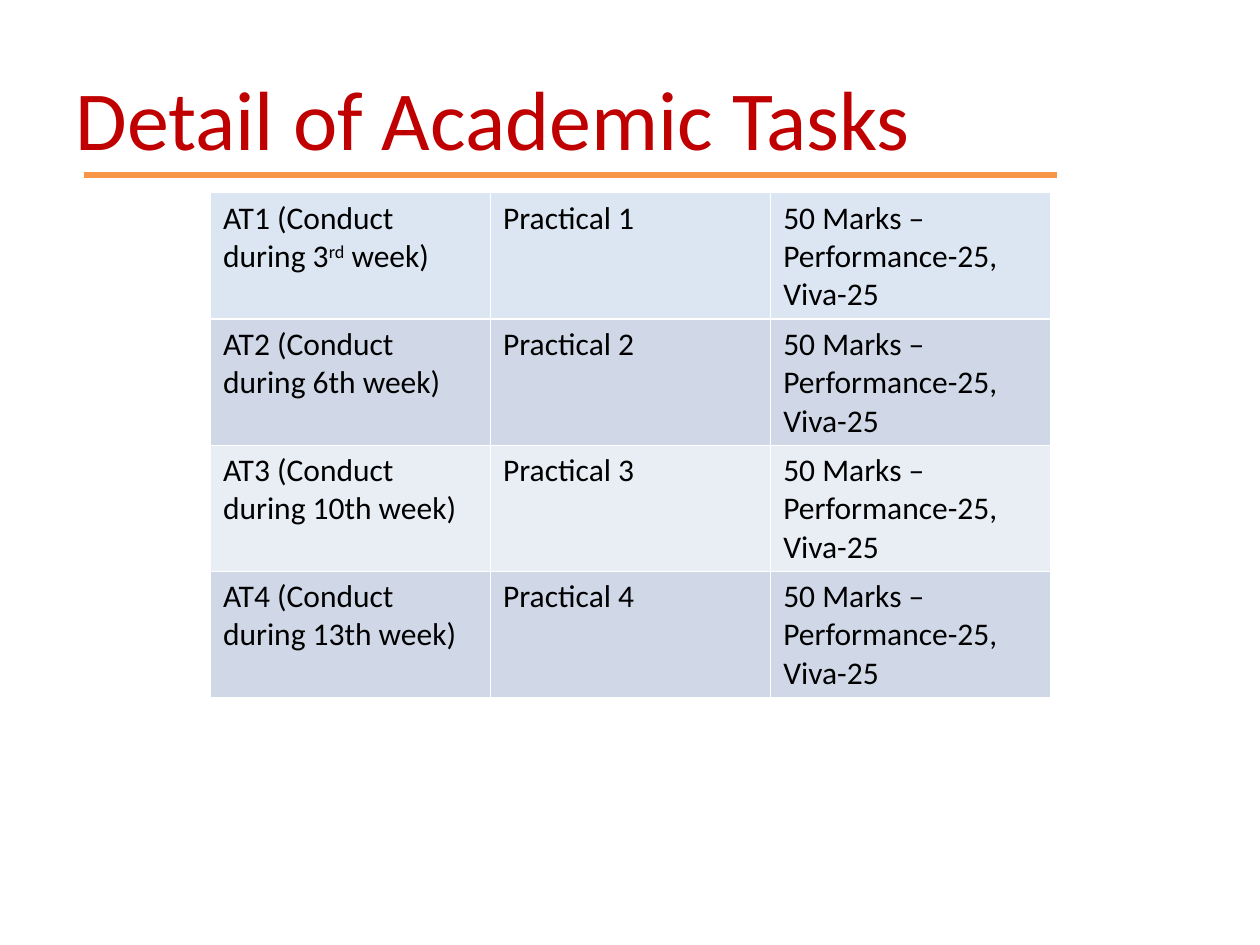
from lxml import etree
from pptx import Presentation
from pptx import util as u
from pptx.dml.color import RGBColor
from pptx.enum import shapes, text
from pptx.oxml.ns import qn

COLORS = {
    "title": "C00000",
    "rule": "F79646",
    "text": "000000",
    "border": "FFFFFF",
    "first": "DCE6F2",
    "dark": "D0D8E8",
    "light": "E9EDF4",
}
MARKS = "50 Marks –Performance-25, Viva-25"
TASKS = [
    (("AT1 (Conduct during 3", "rd", " week)"), "first"),
    (("AT2 (Conduct during 6th week)",), "dark"),
    (("AT3 (Conduct during 10th week)",), "light"),
    (("AT4 (Conduct during 13th week)",), "dark"),
]


class SlideBuilder:
    font_name = "Calibri"
    thin, thick = 0.45, 1.47

    def __init__(self, slide):
        self.slide = slide

    def color(self, name):
        return RGBColor.from_string(COLORS[name])

    def style(self, paragraph, size, color):
        paragraph.font.name = self.font_name
        paragraph.font.size = u.Pt(size)
        paragraph.font.color.rgb = self.color(color)

    def title(self, words, left, top, width, height):
        shape = self.slide.shapes.add_textbox(
            u.Inches(left), u.Inches(top), u.Inches(width), u.Inches(height))
        frame = shape.text_frame
        frame.word_wrap = True
        frame.vertical_anchor = text.MSO_ANCHOR.MIDDLE
        paragraph = frame.paragraphs[0]
        paragraph.text = words
        self.style(paragraph, 48, "title")

    def rule(self, left, right, y):
        connector = self.slide.shapes.add_connector(
            shapes.MSO_CONNECTOR.STRAIGHT,
            u.Inches(left), u.Inches(y), u.Inches(right), u.Inches(y))
        connector.line.color.rgb = self.color("rule")
        connector.line.width = u.Pt(3)
        etree.SubElement(connector._element.spPr, qn("a:effectLst"))

    def borders(self, cell, top, bottom):
        properties = cell._tc.get_or_add_tcPr()
        widths = {"lnL": self.thin, "lnR": self.thin, "lnT": top, "lnB": bottom}
        for side, width in widths.items():
            line = etree.SubElement(properties, qn(f"a:{side}"), w=str(u.Pt(width)))
            fill = etree.SubElement(line, qn("a:solidFill"))
            etree.SubElement(fill, qn("a:srgbClr"), val=COLORS["border"])

    def cell(self, cell, pieces, fill, top, bottom):
        self.borders(cell, top, bottom)
        cell.fill.solid()
        cell.fill.fore_color.rgb = self.color(fill)
        paragraph = cell.text_frame.paragraphs[0]
        for index, piece in enumerate(pieces):
            run = paragraph.add_run()
            run.text = piece
            if index == 1:
                run._r.get_or_add_rPr().set("baseline", "30000")
        self.style(paragraph, 18, "text")

    def task_table(self, tasks, left, top, width, height):
        table = self.slide.shapes.add_table(
            len(tasks), 3, u.Inches(left), u.Inches(top),
            u.Inches(width), u.Inches(height)).table
        table.first_row = False
        table.horz_banding = False
        for row, (task, fill) in enumerate(tasks):
            upper = self.thick if row == 1 else self.thin
            lower = self.thick if row == 0 else self.thin
            contents = (task, (f"Practical {row + 1}",), (MARKS,))
            for column, pieces in enumerate(contents):
                self.cell(table.cell(row, column), pieces, fill, upper, lower)


def main():
    presentation = Presentation()
    presentation.slide_width = u.Inches(10)
    presentation.slide_height = u.Inches(7.5)
    slide = presentation.slides.add_slide(presentation.slide_layouts[6])
    builder = SlideBuilder(slide)
    builder.title("Detail of Academic Tasks", 0.5, 0.3, 9, 1.25)
    builder.rule(0.67, 8.39, 1.39)
    builder.task_table(TASKS, 1.67, 1.53, 6.67, 4)
    presentation.save("out.pptx")


if __name__ == "__main__":
    main()
